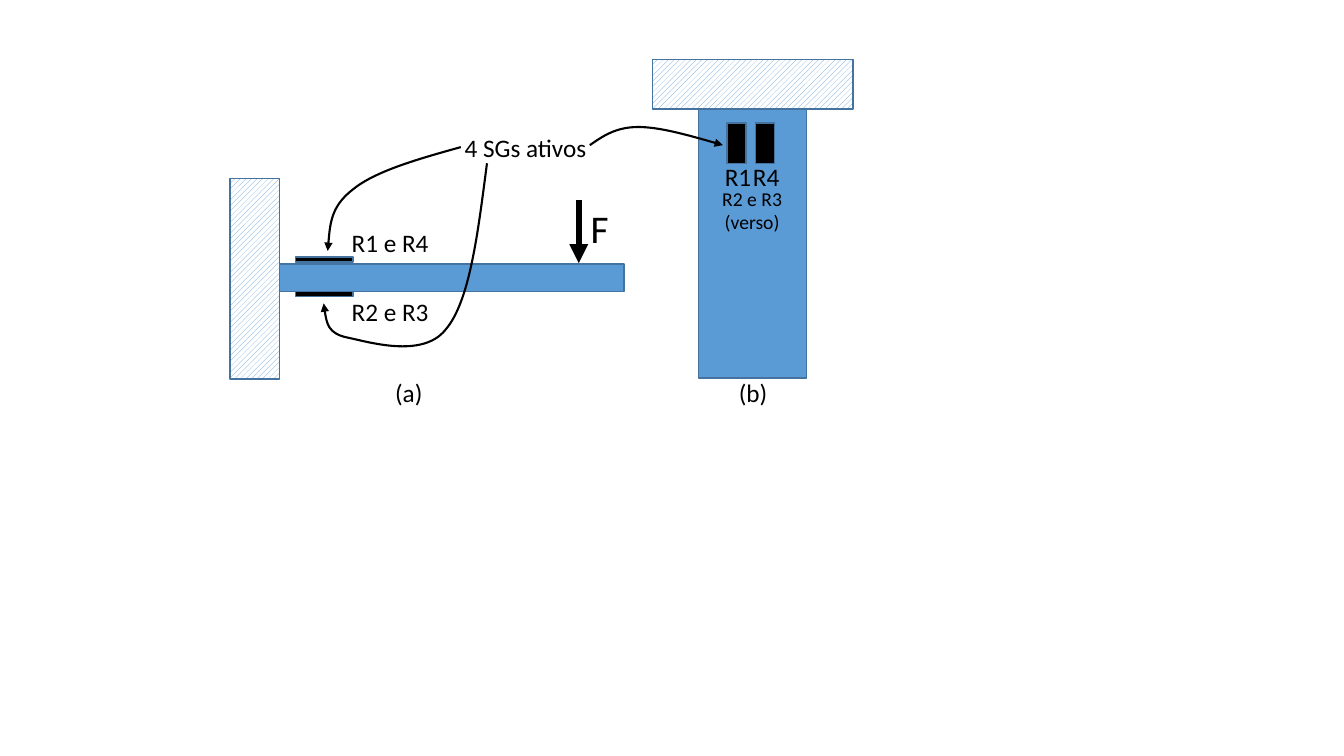
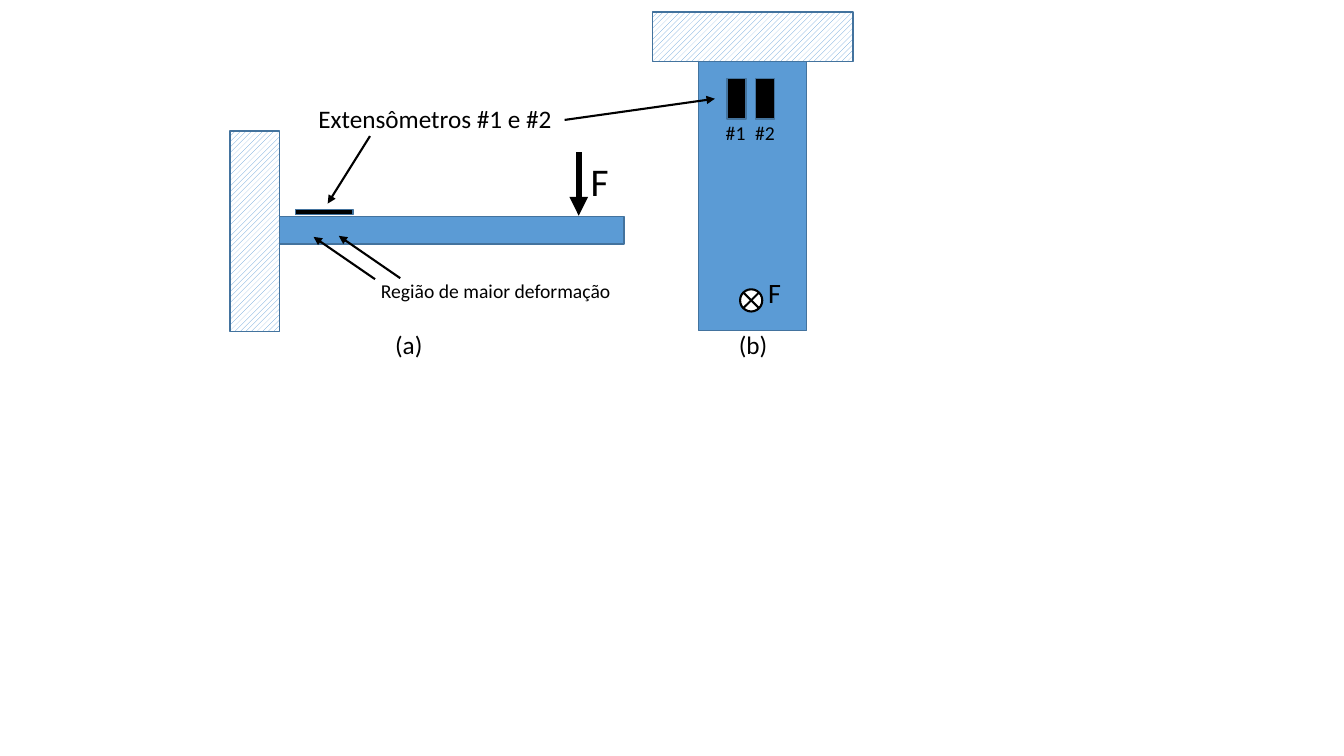
"""Two slides of a cantilever beam with strain gauges, in side and top view."""
from dataclasses import dataclass

from lxml import etree
from pptx import Presentation
from pptx.dml.color import RGBColor
from pptx.enum.dml import MSO_PATTERN
from pptx.enum.shapes import MSO_CONNECTOR, MSO_SHAPE
from pptx.enum.text import MSO_ANCHOR, MSO_AUTO_SIZE, PP_ALIGN
from pptx.oxml.ns import qn
from pptx.util import Inches, Pt

RECT, OVAL = MSO_SHAPE.RECTANGLE, MSO_SHAPE.OVAL
STRAIGHT = MSO_CONNECTOR.STRAIGHT
HATCH = MSO_PATTERN.WIDE_UPWARD_DIAGONAL


@dataclass(frozen=True)
class Theme:
    font: str = "Calibri"
    beam: RGBColor = RGBColor(0x5B, 0x9B, 0xD5)
    edge: RGBColor = RGBColor(0x43, 0x73, 0x9E)
    ink: RGBColor = RGBColor(0, 0, 0)
    paper: RGBColor = RGBColor(255, 255, 255)
    small: int = 14
    body: int = 18
    symbol: int = 20
    force: int = 28
    thin: float = 1
    stroke: float = 1.5
    heavy: float = 4.5


T = Theme()
SHIFT = 0.47
SIDE_X, SIDE_Y, SIDE_W, SIDE_H = 2.77, 2.62, 3.42, 0.27
TOP_X, TOP_Y, TOP_W, TOP_H = 6.93, 1.08, 1.07, 2.67
WALL_LONG, WALL_SHORT = 1.99, 0.49
GAUGE_X, GAUGE_LONG, GAUGE_THIN = 2.93, 0.57, 0.05
PAD_X, PAD_STEP, PAD_W, PAD_H = 7.21, 0.28, 0.19, 0.4

SLIDES = [
    {
        "shift": 0,
        "pad_y": 1.22,
        "gauges": [SIDE_Y - 0.07, SIDE_Y + SIDE_H],
        "texts": [
            ("4 SGs ativos", 4.51, 1.26, 1.42, T.body),
            ("R1 e R4", 3.39, 2.21, 0.97, T.body),
            ("R2 e R3", 3.39, 2.89, 0.97, T.body),
            ("R1", 7.09, 1.55, 0.47, T.body),
            ("R4", 7.37, 1.55, 0.47, T.body),
            ("R2 e R3\n(verso)", 7.06, 1.8, 0.8, T.small),
        ],
        "curves": [
            [(5.85, 1.44), (5.98, 1.35), (6.11, 1.26), (6.33, 1.26),
             (6.54, 1.26), (6.86, 1.35), (7.17, 1.44)],
            [(4.57, 1.46), (4.14, 1.58), (3.72, 1.7), (3.5, 1.88),
             (3.28, 2.05), (3.27, 2.27), (3.25, 2.49)],
            [(4.83, 1.62), (4.74, 2.31), (4.66, 2.99), (4.42, 3.27),
             (4.19, 3.56), (3.65, 3.39), (3.45, 3.35),
             (3.25, 3.31), (3.23, 3.16), (3.21, 3.01)],
        ],
        "arrows": [],
        "into_page": None,
    },
    {
        "shift": SHIFT,
        "pad_y": 0.78,
        "gauges": [SIDE_Y - 0.07],
        "texts": [
            ("Extensômetros #1 e #2", 3.06, 0.98, 2.54, T.body),
            ("#1", 7.1, 1.15, 0.4, T.small),
            ("#2", 7.39, 1.15, 0.4, T.small),
            ("Região de maior deformação", 3.68, 2.72, 2.5, T.small),
            ("F", 7.52, 2.68, 0.33, T.symbol),
        ],
        "curves": [],
        "arrows": [
            ((3.67, 1.35), (3.25, 2.02)),
            ((5.6, 1.19), (7.09, 0.98)),
            ((3.97, 2.76), (3.36, 2.34)),
            ((3.72, 2.77), (3.11, 2.35)),
        ],
        "into_page": (7.45, 2.98, 0.11),
    },
]


def style_line(shape, color, width, arrow=False):
    shape.line.color.rgb = color
    shape.line.width = Pt(width)
    if arrow:
        ln = shape.line._get_or_add_ln()
        etree.SubElement(ln, qn("a:tailEnd"), type="triangle")


def add_box(s, x, y, w, h, fill, kind=RECT, edge=T.edge, width=T.thin):
    sp = s.shapes.add_shape(kind, *map(Inches, (x, y, w, h)))
    sp.shadow.inherit = False
    sp.fill.solid()
    sp.fill.fore_color.rgb = fill
    style_line(sp, edge, width)
    return sp


def add_wall(s, x, y, w, h):
    fill = add_box(s, x, y, w, h, T.paper).fill
    fill.patterned()
    fill.pattern = HATCH
    fill.fore_color.rgb = T.beam
    fill.back_color.rgb = T.paper


def add_text(s, text, x, y, w, size):
    lines = text.split("\n")
    h = len(lines) * size * 1.2 / 72 + 0.1
    tf = s.shapes.add_textbox(*map(Inches, (x, y, w, h))).text_frame
    tf.word_wrap = False
    tf.auto_size = MSO_AUTO_SIZE.SHAPE_TO_FIT_TEXT
    tf.vertical_anchor = MSO_ANCHOR.TOP
    tf.text = text
    for p in tf.paragraphs:
        p.alignment = PP_ALIGN.CENTER if len(lines) > 1 else PP_ALIGN.LEFT
        for r in p.runs:
            r.font.name, r.font.size = T.font, Pt(size)
            r.font.color.rgb = T.ink


def add_line(s, start, end, width=T.stroke, arrow=True):
    c = s.shapes.add_connector(STRAIGHT, *map(Inches, (*start, *end)))
    style_line(c, T.ink, width, arrow)
    etree.SubElement(c._element.spPr, qn("a:effectLst"))


def add_curve(s, points):
    """Draw an arrow along cubic segments: a start, then three points for each."""
    start, *rest = [tuple(map(Inches, p)) for p in points]
    builder = s.shapes.build_freeform(*start, scale=1.0)
    builder.add_line_segments(rest, close=False)
    sp = builder.convert_to_shape()
    sp.shadow.inherit = False
    sp.fill.background()
    style_line(sp, T.ink, T.stroke, arrow=True)
    outline = next(sp._element.iter(qn("a:path")))
    for i, segment in enumerate(outline.findall(qn("a:lnTo"))):
        if i % 3 == 0:
            cubic = etree.SubElement(outline, qn("a:cubicBezTo"))
        cubic.append(segment[0])
        outline.remove(segment)


def add_into_page(s, cx, cy, radius):
    add_box(s, cx - radius, cy - radius, 2 * radius, 2 * radius,
            T.paper, OVAL, T.ink, T.stroke)
    d = radius * 0.71
    for sign in (1, -1):
        add_line(s, (cx - d, cy - sign * d), (cx + d, cy + sign * d), arrow=False)


def add_views(s, dy, pad_y, gauges):
    add_box(s, SIDE_X, SIDE_Y - dy, SIDE_W, SIDE_H, T.beam)
    add_wall(s, SIDE_X - WALL_SHORT, 1.77 - dy, WALL_SHORT, WALL_LONG)
    add_line(s, (5.74, 1.98 - dy), (5.74, 2.61 - dy), T.heavy)
    add_text(s, "F", 5.76, 1.98 - dy, 0.38, T.force)
    add_wall(s, TOP_X + (TOP_W - WALL_LONG) / 2, TOP_Y - WALL_SHORT - dy,
             WALL_LONG, WALL_SHORT)
    add_box(s, TOP_X, TOP_Y - dy, TOP_W, TOP_H, T.beam)
    for y in gauges:
        add_box(s, GAUGE_X, y - dy, GAUGE_LONG, GAUGE_THIN, T.ink)
    for i in range(2):
        add_box(s, PAD_X + i * PAD_STEP, pad_y, PAD_W, PAD_H, T.ink)
    add_text(s, "(a)", 3.82, 3.69 - dy, 0.48, T.body)
    add_text(s, "(b)", 7.23, 3.69 - dy, 0.49, T.body)


def main():
    prs = Presentation()
    prs.slide_width, prs.slide_height = Inches(13.33), Inches(7.5)
    for content in SLIDES:
        s = prs.slides.add_slide(prs.slide_layouts[6])
        add_views(s, content["shift"], content["pad_y"], content["gauges"])
        if content["into_page"]:
            add_into_page(s, *content["into_page"])
        for text in content["texts"]:
            add_text(s, *text)
        for points in content["curves"]:
            add_curve(s, points)
        for start, end in content["arrows"]:
            add_line(s, start, end)
    prs.save("out.pptx")


if __name__ == "__main__":
    main()
